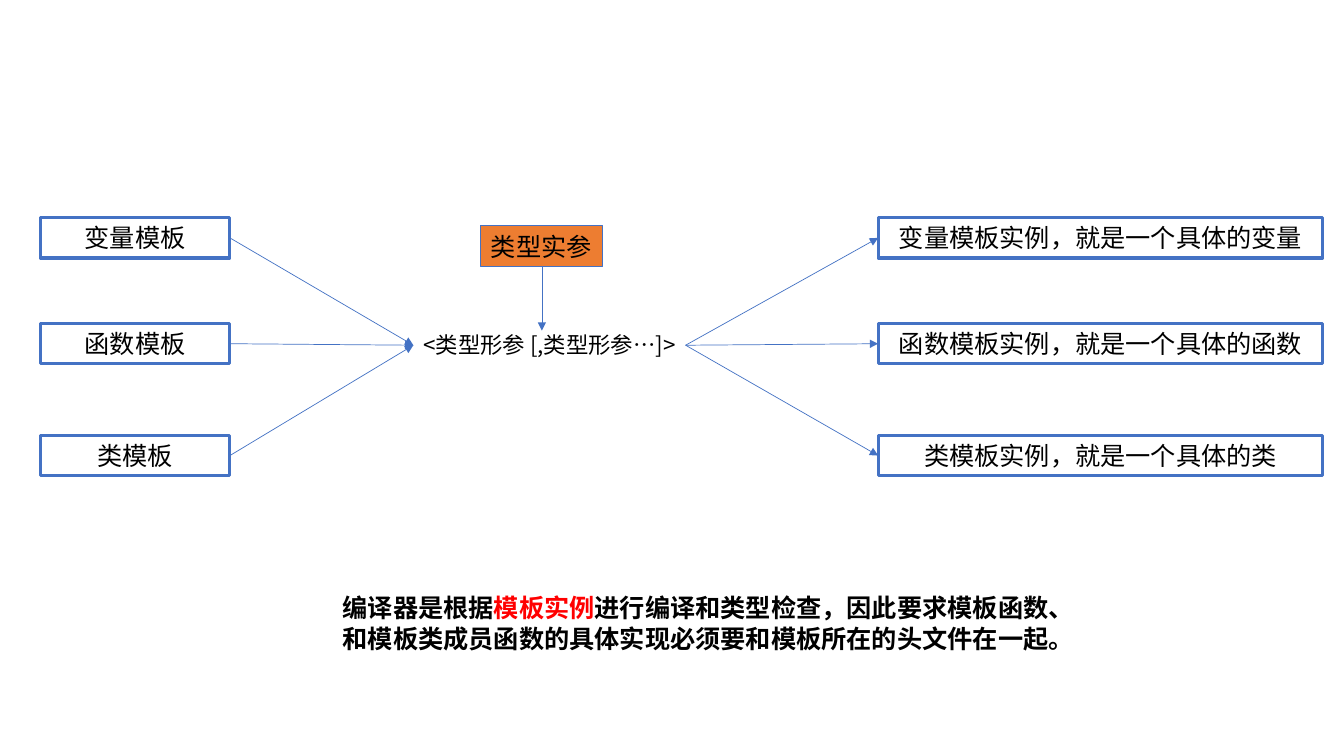
from collections import namedtuple

from lxml.etree import SubElement
from pptx import Presentation
from pptx.dml.color import RGBColor
from pptx.enum.lang import MSO_LANGUAGE_ID as Language
from pptx.enum.shapes import MSO_CONNECTOR as Connector, MSO_SHAPE as Shape
from pptx.enum.text import MSO_ANCHOR as Anchor, MSO_AUTO_SIZE as AutoSize, PP_ALIGN as Align
from pptx.oxml.ns import qn
from pptx.util import Inches, Pt

Box = namedtuple("Box", "left top width height")
FONT = "Noto Sans CJK SC"
BLUE, ORANGE, RED, BLACK = "4472C4", "ED7D31", "FF0000", "000000"
ROW_TOPS = (2.16, 3.21, 4.32)
ROW_HEIGHT = 0.4
TEMPLATES = ("变量模板", "函数模板", "类模板")
INSTANCES = (
    "变量模板实例，就是一个具体的变量",
    "函数模板实例，就是一个具体的函数",
    "类模板实例，就是一个具体的类",
)
NOTE = (
    ("编译器是根据", BLACK),
    ("模板实例", RED),
    ("进行编译和类型检查，因此要求模板函数、和模板类成员函数的具体实现必须要和模板所在的头文件在一起。", BLACK),
)


def color(value):
    """Turn a hex string into a colour."""
    return RGBColor.from_string(value)


def inches(values):
    """Convert a sequence of numbers to lengths."""
    return [Inches(value) for value in values]


def left_middle(box):
    """Return the middle of the left edge."""
    return box.left, box.top + box.height / 2


def right_middle(box):
    """Return the middle of the right edge."""
    return box.left + box.width, box.top + box.height / 2


def write(shape, spans, size=18, bold=False, align=Align.LEFT, anchor=Anchor.TOP, wrap=True):
    """Fill a shape with one paragraph of coloured spans."""
    frame = shape.text_frame
    frame.word_wrap = wrap
    frame.auto_size = AutoSize.SHAPE_TO_FIT_TEXT
    frame.vertical_anchor = anchor
    para = frame.paragraphs[0]
    para.alignment = align
    for text, hue in spans:
        span = para.add_run()
        span.text = text
        font = span.font
        font.size, font.bold, font.name = Pt(size), bold, FONT
        font.language_id = Language.SIMPLIFIED_CHINESE
        font.color.rgb = color(hue)
        SubElement(font._element, qn("a:ea"), typeface=FONT)


def add_frame(page, box, text, fill=None, weight=2.25, **layout):
    """Add a blue-edged rectangle with a label."""
    shape = page.shapes.add_shape(Shape.RECTANGLE, *inches(box))
    shape.shadow.inherit = False
    if fill:
        shape.fill.solid()
        shape.fill.fore_color.rgb = color(fill)
    else:
        shape.fill.background()
    shape.line.color.rgb = color(BLUE)
    shape.line.width = Pt(weight)
    write(shape, [(text, BLACK)], anchor=Anchor.MIDDLE, **layout)


def add_text(page, box, spans, **layout):
    """Add a plain text box."""
    write(page.shapes.add_textbox(*inches(box)), spans, **layout)


def add_arrow(page, start, end):
    """Add a thin arrow between two points."""
    arrow = page.shapes.add_connector(Connector.STRAIGHT, *inches(start + end))
    arrow.line.color.rgb = color(BLUE)
    arrow.line.width = Pt(0.5)
    SubElement(arrow.line._get_or_add_ln(), qn("a:tailEnd"), type="triangle")
    SubElement(arrow._element.spPr, qn("a:effectLst"))


def add_column(page, left, width, labels):
    """Stack labelled frames on the rows and return their boxes."""
    boxes = [Box(left, top, width, ROW_HEIGHT) for top in ROW_TOPS]
    for box, label in zip(boxes, labels):
        add_frame(page, box, label, align=Align.CENTER)
    return boxes


def add_parameters(page, box):
    """Add the parameter list with its argument frame and arrow above."""
    add_text(page, box, [("<类型形参 [,类型形参…]>", BLACK)], size=16, align=Align.CENTER)
    argument = Box(box.left + 0.67, box.top - 1, 1.21, ROW_HEIGHT)
    add_frame(page, argument, "类型实参", fill=ORANGE, weight=0.75, wrap=False)
    middle = argument.left + argument.width / 2
    add_arrow(page, (middle, argument.top + argument.height), (middle, box.top + 0.04))


def add_flow(page):
    """Lead templates through the parameters to their instances."""
    hub = Box(4.1, 3.24, 2.7, 0.37)
    templates = add_column(page, 0.4, 1.88, TEMPLATES)
    instances = add_column(page, 8.71, 4.41, INSTANCES)
    add_parameters(page, hub)
    for template, instance in zip(templates, instances):
        add_arrow(page, right_middle(template), left_middle(hub))
        add_arrow(page, right_middle(hub), left_middle(instance))


def main():
    """Build and save the slide."""
    deck = Presentation()
    deck.slide_width, deck.slide_height = inches((13.33, 7.5))
    page = deck.slides.add_slide(deck.slide_layouts[6])
    add_flow(page)
    add_text(page, Box(3.3, 5.83, 7.31, 0.71), NOTE, bold=True)
    deck.save("out.pptx")


if __name__ == "__main__":
    main()
